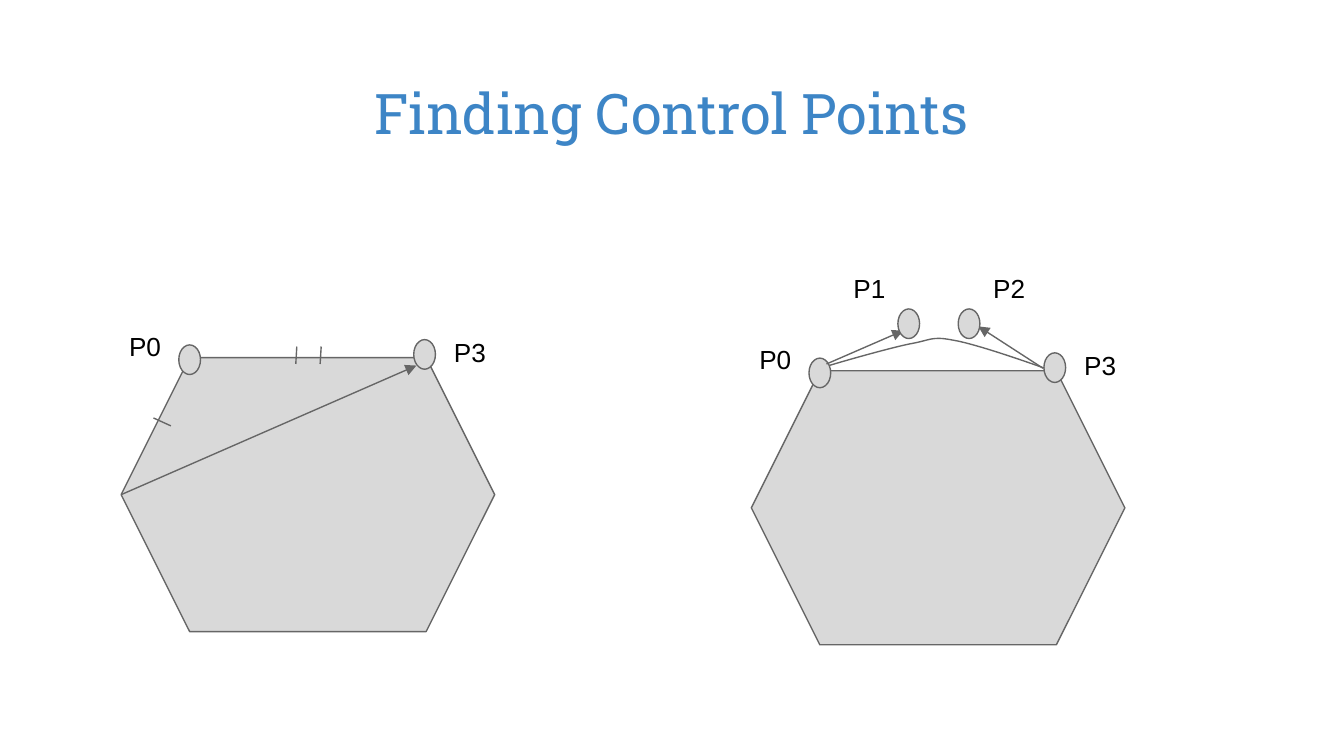
import pptx
import pptx.util
import pptx.dml.color
import pptx.enum.shapes
import pptx.enum.text
import pptx.oxml.ns
import pptx.oxml.xmlchemy

Cm = pptx.util.Cm
Pt = pptx.util.Pt
Shape = pptx.enum.shapes.MSO_SHAPE
Align = pptx.enum.text.PP_ALIGN
qn = pptx.oxml.ns.qn
make = pptx.oxml.xmlchemy.OxmlElement

COLORS = {"title": "3D85C6", "text": "000000", "fill": "D9D9D9", "line": "666666"}


class Board:
    """Style and current slide."""

    def __init__(self, slide):
        self.slide = slide
        self.shapes = slide.shapes

    def color(self, name):
        return pptx.dml.color.RGBColor.from_string(COLORS[name])

    def stroke(self, item):
        item.line.color.rgb = self.color("line")
        item.line.width = Pt(0.75)

    def text(self, words, x, y, w, h, size=14, font="Arial", color="text", align=Align.LEFT):
        box = self.shapes.add_textbox(Cm(x), Cm(y), Cm(w), Cm(h))
        frame = box.text_frame
        frame.word_wrap = True
        frame.margin_left = frame.margin_right = Cm(0.25)
        frame.margin_top = frame.margin_bottom = Cm(0.25)
        frame.text = words
        par = frame.paragraphs[0]
        par.alignment = align
        for run in par.runs:
            run.font.size = Pt(size)
            run.font.name = font
            run.font.color.rgb = self.color(color)

    def label(self, words, x, y):
        self.text(words, x, y, 1.2, 1)

    def shape(self, kind, x, y, w, h):
        item = self.shapes.add_shape(kind, Cm(x), Cm(y), Cm(w), Cm(h))
        item.shadow.inherit = False
        item.fill.solid()
        item.fill.fore_color.rgb = self.color("fill")
        self.stroke(item)

    def dot(self, x, y):
        self.shape(Shape.OVAL, x, y, 0.41, 0.56)

    def hexagon(self, x, y):
        """Hexagon with its two marked end points."""
        self.shape(Shape.HEXAGON, x, y, 7.06, 5.18)
        self.dot(x + 1.09, y - 0.24)
        self.dot(x + 5.53, y - 0.34)
        self.label("P0", x - 0.1, y - 0.76)
        self.label("P3", x + 6.04, y - 0.66)

    def line(self, x1, y1, x2, y2, arrow=False):
        item = self.shapes.add_connector(
            pptx.enum.shapes.MSO_CONNECTOR.STRAIGHT, Cm(x1), Cm(y1), Cm(x2), Cm(y2))
        self.stroke(item)
        props = item._element.spPr
        if arrow:
            tail = make("a:tailEnd")
            tail.set("type", "triangle")
            props.find(qn("a:ln")).append(tail)
        props.append(make("a:effectLst"))

    def curve(self, start, points):
        """Bezier path: every three points make one cubic piece."""
        build = self.shapes.build_freeform(Cm(start[0]), Cm(start[1]))
        build.add_line_segments([(Cm(x), Cm(y)) for x, y in points], close=False)
        item = build.convert_to_shape()
        item.shadow.inherit = False
        item.fill.background()
        self.stroke(item)
        steps = list(item._element.iter(qn("a:lnTo")))
        for i in range(0, len(steps), 3):
            cubic = make("a:cubicBezTo")
            steps[i].addprevious(cubic)
            for step in steps[i:i + 3]:
                cubic.append(step[0])
                step.getparent().remove(step)


def main():
    deck = pptx.Presentation()
    deck.slide_width, deck.slide_height = Cm(25.4), Cm(14.29)
    board = Board(deck.slides.add_slide(deck.slide_layouts[6]))

    # Title
    board.text("Finding Control Points", 0.86, 1.24, 23.67, 1.6,
               30, "Roboto Slab", "title", Align.CENTER)

    # Left: direction between the neighbours of P0
    board.hexagon(2.29, 6.76)
    board.line(2.29, 9.35, 7.87, 6.91, arrow=True)

    # Tick marks on the edges
    board.line(2.9, 7.9, 3.23, 8.05)
    for x in (5.59, 6.05):
        board.line(x + 0.02, 6.55, x, 6.88)

    # Right: control points and the curve they shape
    board.hexagon(14.2, 7.01)
    board.line(15.62, 6.88, 17.07, 6.25, arrow=True)
    board.line(19.71, 6.96, 18.49, 6.17, arrow=True)
    for words, dot, label in (("P1", 16.97, 15.88), ("P2", 18.11, 18.52)):
        board.dot(dot, 5.84)
        board.label(words, label, 4.9)
    board.curve((15.67, 6.91), [
        (15.93, 6.83), (16.81, 6.58), (17.2, 6.5),
        (17.6, 6.43), (17.6, 6.35), (18.01, 6.43),
        (18.44, 6.5), (19.46, 6.86), (19.74, 6.96)])

    deck.save("out.pptx")


if __name__ == "__main__":
    main()
